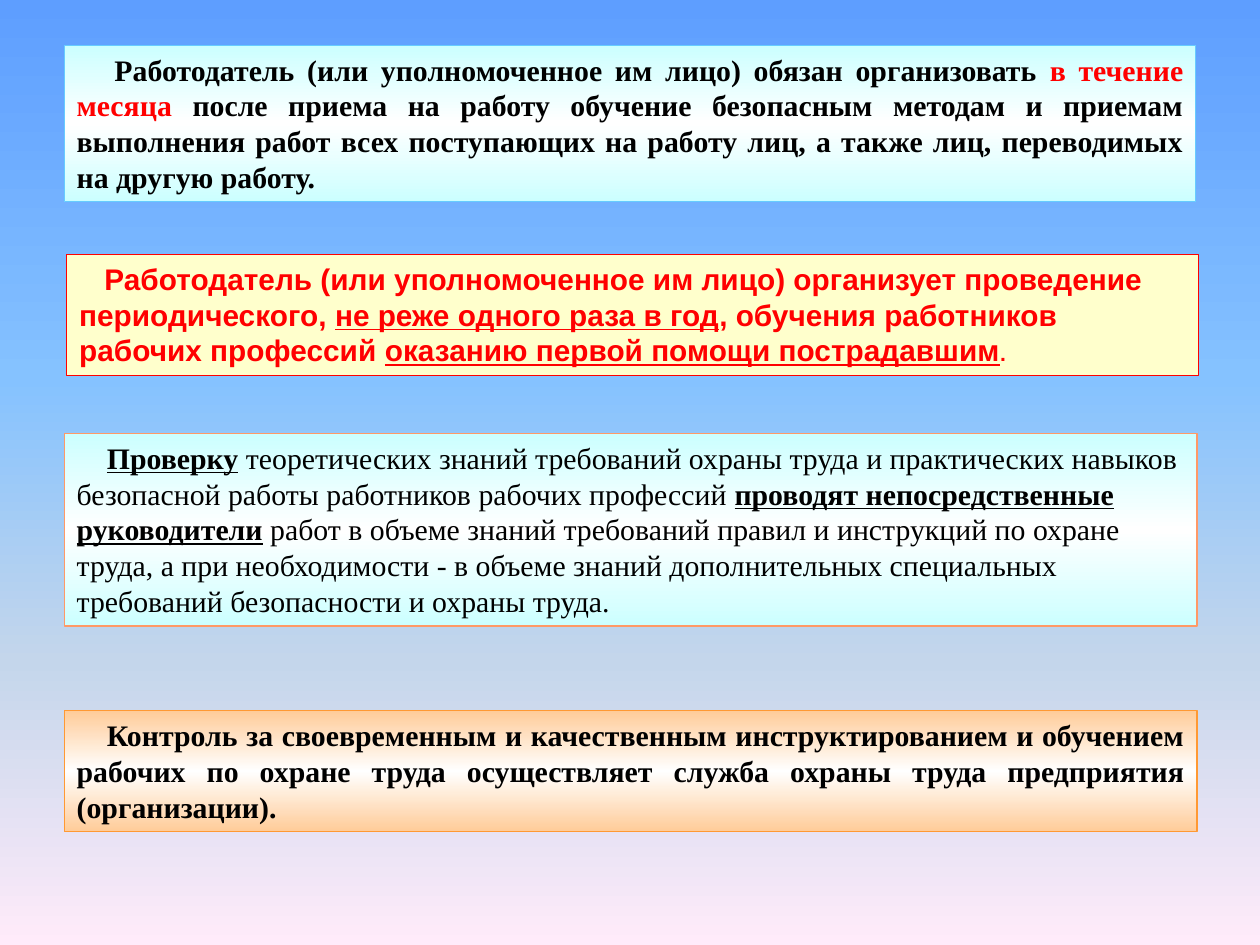
from copy import deepcopy

from pptx import Presentation
from pptx.dml.color import RGBColor
from pptx.enum.text import MSO_ANCHOR, MSO_AUTO_SIZE, PP_ALIGN
from pptx.oxml.ns import qn
from pptx.util import Inches, Pt

SERIF = "Times New Roman"
SANS = "Arial"
AQUA = [(0, "CCFFFF"), (50, "FFFFFF"), (100, "CCFFFF")]
PEACH = [(0, "FFCC99"), (50, "FFFFFF"), (100, "FFCC99")]
SKY = [(0, "5E9EFF"), (40, "85C2FF"), (70, "C4D6EB"), (100, "FFEBFA")]


def color(value):
    return RGBColor.from_string(value)


def add_span(para, text, font=SERIF, size=17, ink="000000", bold=False, underline=False):
    span = para.add_run()
    span.text = text
    span.font.name = font
    span.font.size = Pt(size)
    span.font.color.rgb = color(ink)
    span.font.bold = bold
    span.font.underline = underline


class SlideBuilder:
    line_width = Pt(0.75)

    def __init__(self, deck):
        self.page = deck.slides.add_slide(deck.slide_layouts[6])

    def gradient(self, fill, element, stops):
        fill.gradient()
        fill.gradient_angle = 270
        stop_list = element.find(".//" + qn("a:gsLst"))
        for _ in stops[2:]:
            stop_list.append(deepcopy(stop_list[0]))
        for stop, (position, value) in zip(fill.gradient_stops, stops):
            stop.position = position / 100
            stop.color.rgb = color(value)

    def background(self, stops):
        self.gradient(self.page.background.fill, self.page.element, stops)

    def text_panel(self, bounds, fill, line, indent, spans, align=PP_ALIGN.LEFT):
        box = self.page.shapes.add_textbox(*map(Inches, bounds))
        if isinstance(fill, str):
            box.fill.solid()
            box.fill.fore_color.rgb = color(fill)
        else:
            self.gradient(box.fill, box.element, fill)
        box.line.color.rgb = color(line)
        box.line.width = self.line_width
        frame = box.text_frame
        frame.word_wrap = True
        frame.auto_size = MSO_AUTO_SIZE.SHAPE_TO_FIT_TEXT
        frame.vertical_anchor = MSO_ANCHOR.TOP
        para = frame.paragraphs[0]
        para.alignment = align
        para._p.get_or_add_pPr().set("indent", str(Inches(indent)))
        for text, style in spans:
            add_span(para, text, **style)


def main():
    deck = Presentation()
    deck.slide_width = Inches(10)
    deck.slide_height = Inches(7.5)
    slide = SlideBuilder(deck)
    slide.background(SKY)

    plain = {}
    strong = {"bold": True}
    marked = {"bold": True, "underline": True}
    alert = {"bold": True, "ink": "FF0000"}
    notice = {**alert, "font": SANS}
    notice_marked = {**notice, "underline": True}

    slide.text_panel((0.51, 0.36, 8.98, 1.24), AQUA, "66CCFF", 0.3, [
        ("Работодатель (или уполномоченное им лицо) обязан организовать ", strong),
        ("в течение месяца", alert),
        (" после приема на работу обучение безопасным методам и приемам выполнения работ "
         "всех поступающих на работу лиц, а также лиц, переводимых на другую работу.", strong),
    ], PP_ALIGN.JUSTIFY)
    slide.text_panel((0.53, 2.02, 8.98, 0.96), "FFFFCC", "FF0000", 0.2, [
        ("Работодатель (или уполномоченное им лицо) организует проведение периодического, ", notice),
        ("не реже одного раза в год", notice_marked),
        (", обучения работников рабочих профессий ", notice),
        ("оказанию первой помощи пострадавшим", notice_marked),
        (".", {**notice, "size": 12}),
    ])
    slide.text_panel((0.51, 3.44, 8.99, 1.53), AQUA, "FF9966", 0.24, [
        ("Проверку", marked),
        (" теоретических знаний требований охраны труда и практических навыков "
         "безопасной работы работников рабочих профессий ", plain),
        ("проводят непосредственные руководители", marked),
        (" работ в объеме знаний требований правил и инструкций по охране труда, "
         "а при необходимости - в объеме знаний дополнительных специальных требований "
         "безопасности и охраны труда.", plain),
    ])
    slide.text_panel((0.51, 5.64, 8.99, 0.96), PEACH, "FF9933", 0.24, [
        ("Контроль за своевременным и качественным инструктированием и обучением рабочих "
         "по охране труда осуществляет служба охраны труда предприятия (организации).", strong),
    ], PP_ALIGN.JUSTIFY)

    deck.save("out.pptx")


if __name__ == "__main__":
    main()
